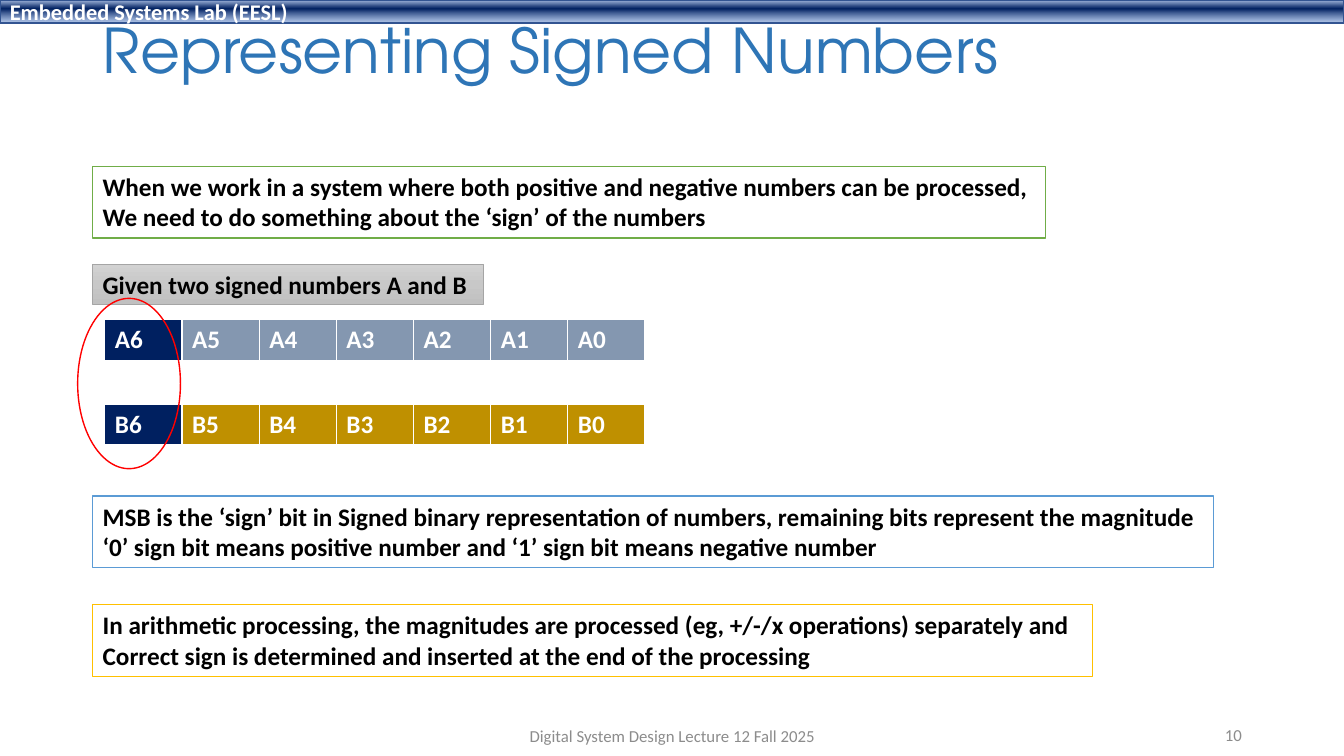
from collections import namedtuple
from dataclasses import dataclass

from lxml import etree
from pptx import Presentation
from pptx.dml.color import RGBColor
from pptx.enum.shapes import MSO_SHAPE
from pptx.enum.text import MSO_ANCHOR, MSO_AUTO_SIZE, PP_ALIGN
from pptx.oxml.ns import qn
from pptx.util import Inches, Pt

RECTANGLE, OVAL = MSO_SHAPE.RECTANGLE, MSO_SHAPE.OVAL
TOP, MIDDLE = MSO_ANCHOR.TOP, MSO_ANCHOR.MIDDLE
LEFT, CENTER, RIGHT = PP_ALIGN.LEFT, PP_ALIGN.CENTER, PP_ALIGN.RIGHT
GROW, FIXED = MSO_AUTO_SIZE.SHAPE_TO_FIT_TEXT, MSO_AUTO_SIZE.NONE
WIDTH, HEIGHT = Inches(13.33), Inches(7.5)
MARGIN = 6.9

Box = namedtuple("Box", "left top width height")


@dataclass(frozen=True)
class Theme:
    body_font: str = "Calibri"
    title_font: str = "TeX Gyre Adventor"
    title_size: int = 44
    body_size: int = 18
    header_size: int = 16
    footer_size: int = 12
    title: str = "2E75B6"
    text: str = "000000"
    white: str = "FFFFFF"
    muted: str = "8C8C8C"
    header_line: str = "325491"
    sign_bit: str = "002060"
    bits_a: str = "8497B0"
    bits_b: str = "BF9000"
    green: str = "70AD47"
    blue: str = "5B9BD5"
    gold: str = "FFC000"
    gray: str = "A5A5A5"
    ring: str = "FF0000"
    header_stops: tuple = ((2, "ABC0E4", 100), (38, "002060", 100), (93, "7E9ED6", 64))
    gray_stops: tuple = ((0, "D2D2D2", 100), (50, "C8C8C8", 100), (100, "C0C0C0", 100))


THEME = Theme()


def share(left, top, width, height):
    """Box from percentages of the slide's width and height."""
    return Box(int(WIDTH * left / 100), int(HEIGHT * top / 100),
               int(WIDTH * width / 100), int(HEIGHT * height / 100))


def rgb(color):
    return RGBColor.from_string(color)


def style_text(frame, size, color, bold=False, align=LEFT, font=THEME.body_font):
    for paragraph in frame.paragraphs:
        paragraph.alignment = align
        paragraph.font.name = font
        paragraph.font.size = Pt(size)
        paragraph.font.bold = bold
        paragraph.font.color.rgb = rgb(color)


def fill_gradient(shape, stops):
    shape.fill.gradient()
    shape.fill.gradient_angle = 270
    stop_list = shape._element.spPr.find(qn("a:gradFill")).find(qn("a:gsLst"))
    for old_stop in list(stop_list):
        stop_list.remove(old_stop)
    for position, color, opacity in stops:
        stop = etree.SubElement(stop_list, qn("a:gs"), pos=str(position * 1000))
        tint = etree.SubElement(stop, qn("a:srgbClr"), val=color)
        if opacity < 100:
            etree.SubElement(tint, qn("a:alpha"), val=str(opacity * 1000))


def add_outlined(slide, kind, box, line, line_width=1):
    shape = slide.shapes.add_shape(kind, *box)
    shape.shadow.inherit = False
    shape.line.color.rgb = rgb(line)
    shape.line.width = Pt(line_width)
    return shape


def add_header(slide, box, lab):
    header = add_outlined(slide, RECTANGLE, box, THEME.header_line)
    fill_gradient(header, THEME.header_stops)
    header.text_frame.text = lab
    header.text_frame.vertical_anchor = MIDDLE
    style_text(header.text_frame, THEME.header_size, THEME.white, bold=True)
    slide.shapes._spTree.insert(2, header._element)


def add_title(slide, box, heading):
    title = slide.shapes.title
    title.left, title.top, title.width, title.height = box
    frame = title.text_frame
    frame.text = heading
    frame.vertical_anchor = MIDDLE
    frame.auto_size = FIXED
    frame.paragraphs[0].line_spacing = 0.9
    style_text(frame, THEME.title_size, THEME.title, font=THEME.title_font)


def add_statement(slide, box, lines, line, line_width=1, stops=None):
    statement = add_outlined(slide, RECTANGLE, box, line, line_width)
    if stops:
        fill_gradient(statement, stops)
    else:
        statement.fill.solid()
        statement.fill.fore_color.rgb = rgb(THEME.white)
    frame = statement.text_frame
    frame.text = "\n".join(lines)
    frame.vertical_anchor = TOP
    frame.word_wrap = False
    frame.auto_size = GROW
    style_text(frame, THEME.body_size, THEME.text, bold=True)


def add_register(slide, box, letter, bit_color, bits=7):
    register = slide.shapes.add_table(1, bits, *box).table
    register.horz_banding = False
    for column, cell in enumerate(register.rows[0].cells):
        register.columns[column].width = box.width // bits
        cell.text = f"{letter}{bits - 1 - column}"
        cell.fill.solid()
        cell.fill.fore_color.rgb = rgb(bit_color if column else THEME.sign_bit)
        style_text(cell.text_frame, THEME.body_size, THEME.white, bold=True)


def add_sign_ring(slide, box):
    add_outlined(slide, OVAL, box, THEME.ring).fill.background()


def add_footer(slide, box, text, align):
    frame = slide.shapes.add_textbox(*box).text_frame
    frame.text = text
    frame.word_wrap = True
    frame.vertical_anchor = MIDDLE
    style_text(frame, THEME.footer_size, THEME.muted, align=align)


def build_signed_numbers(slide):
    add_header(slide, share(0, 0, 100, 3.07), "Embedded Systems Lab (EESL)")
    add_title(slide, share(MARGIN, 2, 86.25, 10.27), "Representing Signed Numbers")
    add_register(slide, share(7.8, 42.27, 40.2, 5.33), "A", THEME.bits_a)
    add_statement(slide, share(MARGIN, 22, 70.88, 9.47), (
        "When we work in a system where both positive and negative numbers can be processed,",
        "We need to do something about the ‘sign’ of the numbers"), THEME.green)
    add_register(slide, share(7.8, 53.47, 40.2, 5.33), "B", THEME.bits_b)
    add_statement(slide, share(MARGIN, 34.93, 29.1, 5.33),
                  ("Given two signed numbers A and B",),
                  THEME.gray, 0.5, THEME.gray_stops)
    add_sign_ring(slide, share(5.78, 39.47, 7.65, 22.53))
    add_statement(slide, share(MARGIN, 65.6, 83.4, 9.47), (
        "MSB is the ‘sign’ bit in Signed binary representation of numbers, "
        "remaining bits represent the magnitude",
        "‘0’ sign bit means positive number and ‘1’ sign bit means negative number"),
        THEME.blue)
    add_statement(slide, share(MARGIN, 80, 74.4, 9.47), (
        "In arithmetic processing, the magnitudes are processed "
        "(eg, +/-/x operations) separately and",
        "Correct sign is determined and inserted at the end of the processing"),
        THEME.gold)
    add_footer(slide, share(33.15, 94.6, 33.75, 5.33),
               "Digital System Design Lecture 12 Fall 2025", CENTER)
    add_footer(slide, share(70.65, 94.5, 22.5, 5.33), "10", RIGHT)


def main():
    deck = Presentation()
    deck.slide_width, deck.slide_height = WIDTH, HEIGHT
    build_signed_numbers(deck.slides.add_slide(deck.slide_layouts[5]))
    deck.save("out.pptx")


if __name__ == "__main__":
    main()
